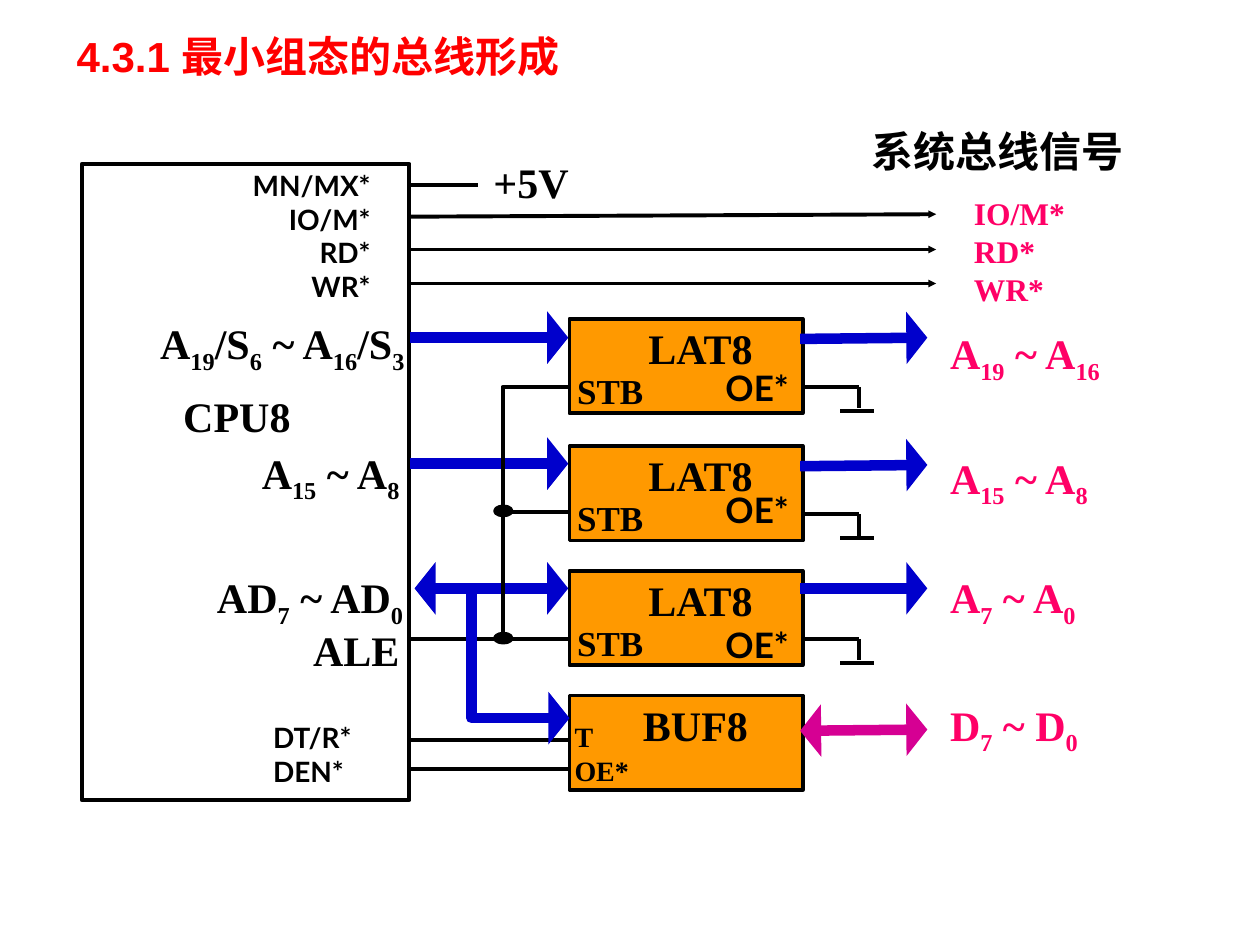
from pptx import Presentation
from pptx.dml.color import RGBColor
from pptx.enum import shapes as sh, text as tx
from pptx.oxml.ns import qn
from pptx.util import Inches, Pt
from lxml import etree

THEME = dict(
    black="000000", red="FF0000", pink="FF0066", blue="0000CC",
    plum="D60093", gold="FF9900",
    serif="Times New Roman", sans="Lato", head="Arial",
    big=24, mid=20, list=18, small=16, thin=2.25, thick=6,
)
T = THEME

# Content: text between underscores is a subscript
TITLE = "4.3.1 最小组态的总线形成"
# Latches: top, top of its OE* label, output bus start y and end y
LATCH = [(2.53, 2.86, 2.69, 2.68), (3.54, 3.83, 3.70, 3.69),
         (4.53, 4.90, 4.67, 4.67)]
BUFFER = 5.52
# Processor labels: text, left, top, width, height, alignment
PINS = [
    ("A_19_/S_6_ ~ A_16_/S_3_", 0.35, 2.51, 2.87, 0.41, "r"),
    ("CPU8", 1.12, 3.09, 1.52, 0.33, "c"),
    ("A_15_ ~ A_8_", 1.70, 3.54, 1.48, 0.37, "r"),
    ("AD_7_ ~ AD_0_", 1.45, 4.53, 1.76, 0.56, "r"),
    ("ALE", 1.90, 4.95, 1.28, 0.33, "r"),
    ("+5V", 3.66, 1.23, 1.11, 0.33, "c"),
    ("系统总线信号", 6.62, 0.99, 2.59, 0.34, "c"),
]
# System bus labels: text, top
BUS = [("A_19_ ~ A_16_", 2.59), ("A_15_ ~ A_8_", 3.58),
       ("A_7_ ~ A_0_", 4.53), ("D_7_ ~ D_0_", 5.54)]
CONTROL = ["IO/M*", "RD*", "WR*"]
CONTROL_Y = [(1.72, 1.70), (1.98, 1.98), (2.25, 2.25)]
# Latch inputs: start x, y, double-headed
INPUT = [(3.25, 2.68, False), (3.25, 3.68, False), (3.29, 4.67, True)]
# Plain wires: x1, y1, x2, y2
WIRES = [(3.24, 1.47, 3.79, 1.47), (4.52, 4.06, 4.02, 4.06),
         (4.53, 5.07, 3.24, 5.07), (4.53, 5.87, 3.24, 5.87),
         (4.53, 6.10, 3.24, 6.10)]

EDGE, CPU, CHIP = 3.25, (0.65, 1.30, 2.60, 5.05), (4.52, 1.85, 0.75)
ALIGN = dict(l=tx.PP_ALIGN.LEFT, c=tx.PP_ALIGN.CENTER, r=tx.PP_ALIGN.RIGHT)

prs = Presentation()
prs.slide_width, prs.slide_height = Inches(10), Inches(7.5)
slide = prs.slides.add_slide(prs.slide_layouts[6])
pool = slide.shapes


def rgb(name):
    return RGBColor.from_string(T[name])


def write(lines, x, y, w, h, size="big", font="serif", color="black",
          align="l", inset=0.01, wrap=True, mid=False):
    frame = pool.add_textbox(*map(Inches, (x, y, w, h))).text_frame
    frame.word_wrap = wrap
    if mid:
        frame.vertical_anchor = tx.MSO_ANCHOR.MIDDLE
    side, cap = (inset, inset) if inset else (0.1, 0.05)
    frame.margin_left = frame.margin_right = Inches(side)
    frame.margin_top = frame.margin_bottom = Inches(cap)
    for i, line in enumerate([lines] if isinstance(lines, str) else lines):
        para = frame.add_paragraph() if i else frame.paragraphs[0]
        para.alignment = ALIGN[align]
        for n, part in enumerate(line.split("_")):
            if not part:
                continue
            run = para.add_run()
            run.text = part
            run.font.name, run.font.size = T[font], Pt(T[size])
            run.font.bold, run.font.color.rgb = True, rgb(color)
            if n % 2:
                run._r.get_or_add_rPr().set("baseline", "-25000")


def stroke(item, color, width, ends=(), head="lg"):
    item.line.color.rgb = rgb(color)
    item.line.width = Pt(T[width])
    for end in ends:
        etree.SubElement(item.line._get_or_add_ln(), qn(f"a:{end}End"),
                         type="triangle", w=head, len="sm")


def wire(x1, y1, x2, y2, color="black", width="thin", ends=(), head="lg"):
    item = pool.add_connector(sh.MSO_CONNECTOR.STRAIGHT,
                              *map(Inches, (x1, y1, x2, y2)))
    stroke(item, color, width, ends, head)
    etree.SubElement(item._element.spPr, qn("a:effectLst"))


def block(x, y, w, h, fill=None, kind="RECTANGLE"):
    item = pool.add_shape(sh.MSO_SHAPE[kind], *map(Inches, (x, y, w, h)))
    item.shadow.inherit = False
    if fill:
        item.fill.solid()
        item.fill.fore_color.rgb = rgb(fill)
    else:
        item.fill.background()
    stroke(item, "black", "thin")


def bend(points, color, width, ends=()):
    spots = [(Inches(x), Inches(y)) for x, y in points]
    build = pool.build_freeform(*spots[0])
    build.add_line_segments(spots[1:], close=False)
    item = build.convert_to_shape()
    item.shadow.inherit = False
    item.fill.background()
    stroke(item, color, width, ends)


# Title, processor and chips
write(TITLE, 0.51, 0.2, 8.15, 0.49, font="head", color="red",
      inset=None, mid=True)
left, wide, high = CHIP
for top in [row[0] for row in LATCH] + [BUFFER]:
    block(left, top, wide, high, "gold")
block(*CPU)

# Labels
for label, x, y, w, h, side in PINS:
    write(label, x, y, w, h, align=side)
for label, y in BUS:
    write(label, 7.53, y, 1.88, 0.57, color="pink")
write(CONTROL, 7.72, 1.53, 1.32, 1.04, size="list", color="pink")

# Control lines and plain wires
for y1, y2 in CONTROL_Y:
    wire(EDGE, y1, 7.43, y2, ends=["tail"], head="sm")
for ends in WIRES:
    wire(*ends)

# Latches: input bus, output bus, labels, grounded OE*
for (top, enable, out1, out2), (x, y, both) in zip(LATCH, INPUT):
    wire(x, y, 4.51, y, "blue", "thick", ["head", "tail"] if both else ["tail"])
    wire(6.35, out1, 7.36, out2, "blue", "thick", ["tail"])
    write("LAT8", 4.90, top + 0.02, 1.32, 0.33, align="c")
    write("STB", 4.57, top + 0.39, 1.11, 0.33, size="mid")
    write("OE*", 5.66, enable, 0.76, 0.43, size="mid", font="sans",
          inset=None, wrap=False)
    low, base = top + 0.54, top + 0.73
    wire(6.39, low, 6.82, low)
    wire(6.82, low, 6.82, base - 0.02)
    wire(6.67, base, 6.94, base)

# Data buffer
write("BUF8", 4.86, BUFFER + 0.02, 1.32, 0.33, align="c")
write(["T", "OE*"], 4.55, 5.70, 1.11, 0.51, size="small")
wire(6.35, 5.80, 7.36, 5.79, "plum", "thick", ["head", "tail"])

# Junctions, data branch and strobe line
for y in (4.02, 5.03):
    block(3.93, y, 0.13, 0.07, "black", "OVAL")
bend([(3.74, 4.67), (3.74, 5.70), (4.52, 5.70)], "blue", "thick", ["tail"])
bend([(3.99, 5.06), (3.99, 3.07), (4.53, 3.07)], "black", "thin")

# Processor control pins
write(["MN/MX*"] + CONTROL, 1.85, 1.29, 1.19, 1.17, size="small", font="sans",
      align="r", inset=None, wrap=False)
write(["DT/R*", "DEN*"], 2.07, 5.67, 0.94, 0.64, size="small", font="sans",
      inset=None, wrap=False)

prs.save("out.pptx")
